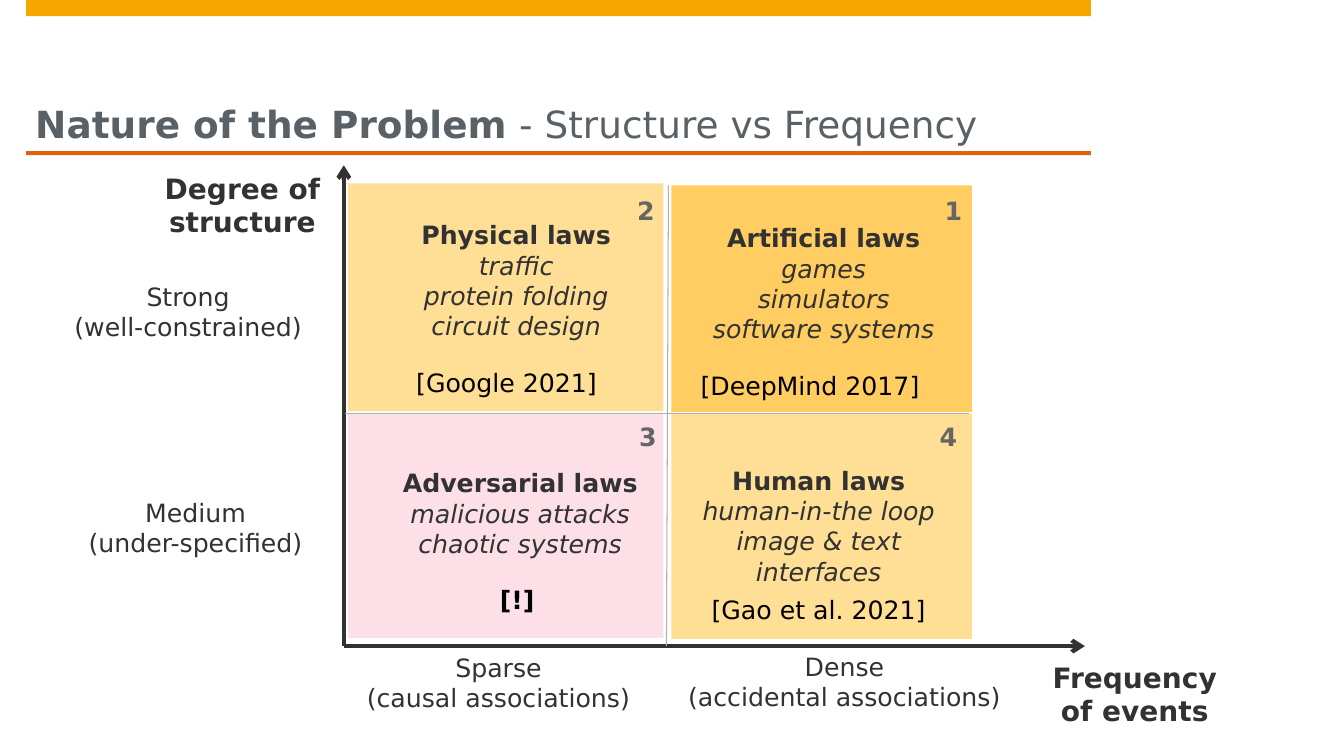
from lxml import etree
from pptx import Presentation
from pptx.dml.color import RGBColor
from pptx.enum.shapes import MSO_CONNECTOR, MSO_SHAPE
from pptx.enum.text import MSO_ANCHOR, PP_ALIGN
from pptx.oxml.ns import qn
from pptx.util import Inches, Pt

RECT = MSO_SHAPE.RECTANGLE
LINE = MSO_CONNECTOR.STRAIGHT
LEFT, MID = PP_ALIGN.LEFT, PP_ALIGN.CENTER
TOP, CENTER, BOTTOM = MSO_ANCHOR.TOP, MSO_ANCHOR.MIDDLE, MSO_ANCHOR.BOTTOM

FONT = "DejaVu Sans"
INK, GRAY, BLACK = "323232", "656565", "000000"
SLATE, RULE = "5A6166", "B0B0B0"
GOLD, ORANGE = "F6A800", "DD640C"
SAND, AMBER, PINK = "FFDE95", "FFCD61", "FDC0D2"


def color(code):
    return RGBColor.from_string(code)


class Board:
    def __init__(self, slide):
        self.slide = slide

    def style(self, font, size, code, bold=False, slant=False):
        font.name = FONT
        font.size = Pt(size)
        font.bold = bold
        font.italic = slant
        font.color.rgb = color(code)

    def rect(self, box, code, alpha=None):
        shape = self.slide.shapes.add_shape(RECT, *map(Inches, box))
        shape.shadow.inherit = False
        shape.fill.solid()
        shape.fill.fore_color.rgb = color(code)
        shape.line.fill.background()
        if alpha:
            tint = shape.fill._xPr.find(".//" + qn("a:srgbClr"))
            etree.SubElement(tint, qn("a:alpha"), val=str(alpha * 1000))

    def line(self, start, end, code, width, arrow=False):
        link = self.slide.shapes.add_connector(
            LINE, *map(Inches, start + end))
        link.line.color.rgb = color(code)
        link.line.width = Pt(width)
        if arrow:
            etree.SubElement(link.line._get_or_add_ln(), qn("a:tailEnd"),
                             type="arrow")
        etree.SubElement(link._element.spPr, qn("a:effectLst"))

    def frame(self, box, anchor=TOP, wrap=True):
        frame = self.slide.shapes.add_textbox(*map(Inches, box)).text_frame
        frame.word_wrap = wrap
        frame.vertical_anchor = anchor
        return frame

    def text(self, box, words, size=18, code=INK, bold=False, align=MID,
             wrap=True):
        frame = self.frame(box, wrap=wrap)
        frame.text = words
        for para in frame.paragraphs:
            para.alignment = align
            self.style(para.font, size, code, bold)

    def laws(self, box, words):
        frame = self.frame(box, CENTER)
        frame.text = words
        for i, para in enumerate(frame.paragraphs):
            para.alignment = MID
            self.style(para.font, 18, INK, bold=i == 0, slant=i > 0)

    def title(self, box, lead, rest):
        frame = self.frame(box, BOTTOM)
        frame.margin_left = frame.margin_top = frame.margin_right = 0
        frame.margin_bottom = Inches(0.2)
        para = frame.paragraphs[0]
        for words, bold in ((lead, True), (rest, False)):
            run = para.add_run()
            run.text = words
            self.style(run.font, 26.7, SLATE, bold)


def main():
    deck = Presentation()
    deck.slide_width, deck.slide_height = Inches(13.33), Inches(7.5)
    board = Board(deck.slides.add_slide(deck.slide_layouts[6]))

    # Header
    board.rect((0.26, 0, 10.56, 0.16), GOLD)
    board.rect((0.26, 1.5, 10.56, 0.04), ORANGE)
    board.title((0.35, 0.2, 11.5, 1.45), "Nature of the Problem",
                " - Structure vs Frequency")

    # Axes
    zero = (3.41, 6.41)
    for tip in ((3.41, 1.64), (10.76, 6.41)):
        board.line(zero, tip, INK, 3, arrow=True)
    board.text((10.32, 6.5, 1.87, 0.77), "Frequency of events", 20, bold=True)
    board.text((1.5, 1.65, 1.81, 0.77), "Degree of structure", 20, bold=True)

    # Axis labels
    for box, words in (
            ((3.46, 6.42, 2.97, 0.71), "Sparse\n(causal associations)"),
            ((6.72, 6.41, 3.31, 0.71), "Dense\n(accidental associations)"),
            ((0.67, 4.88, 2.54, 0.71), "Medium\n(under-specified)"),
            ((0.24, 2.74, 3.25, 0.71), "Strong\n(well-constrained)")):
        board.text(box, words)

    # Quadrants: fill, laws, number, citation
    quads = (
        ((6.66, 4.11, 2.98, 2.23), SAND, None,
         (6.63, 4.1, 2.98, 2.23),
         "Human laws\nhuman-in-the loop\nimage & text interfaces",
         "4", (9.22, 4.13), "[Gao et al. 2021]", (6.96, 5.85, 2.48)),
        ((6.66, 1.84, 2.98, 2.25), AMBER, None,
         (6.9, 1.96, 2.54, 1.7),
         "Artificial laws\ngames\nsimulators\nsoftware systems",
         "1", (9.27, 1.89), "[DeepMind 2017]", (6.85, 3.62, 2.7)),
        ((3.45, 4.1, 3.13, 2.23), PINK, 50,
         (3.89, 4.24, 2.54, 1.7),
         "Adversarial laws\nmalicious attacks\nchaotic systems",
         "3", (6.24, 4.13), "[!]", (4.86, 5.75, 0.58)),
        ((3.45, 1.82, 3.13, 2.26), SAND, None,
         (3.85, 1.93, 2.54, 1.7),
         "Physical laws\ntraffic\nprotein folding\ncircuit design",
         "2", (6.22, 1.89), "[Google 2021]", (4.03, 3.59, 2.37)))
    for area, fill, alpha, box, words, num, spot, cite, place in quads:
        board.rect(area, fill, alpha)
        board.laws(box, words)
        board.text(spot + (0.38, 0.4), num, code=GRAY, bold=True,
                   align=LEFT, wrap=False)
        board.text(place + (0.4,), cite, code=BLACK, bold=cite == "[!]",
                   align=LEFT)

    # Dividers
    board.line((6.63, 1.84), (6.61, 6.41), RULE, 0.75)
    board.line((9.61, 4.1), (3.42, 4.1), RULE, 0.75)

    deck.save("out.pptx")


if __name__ == "__main__":
    main()
